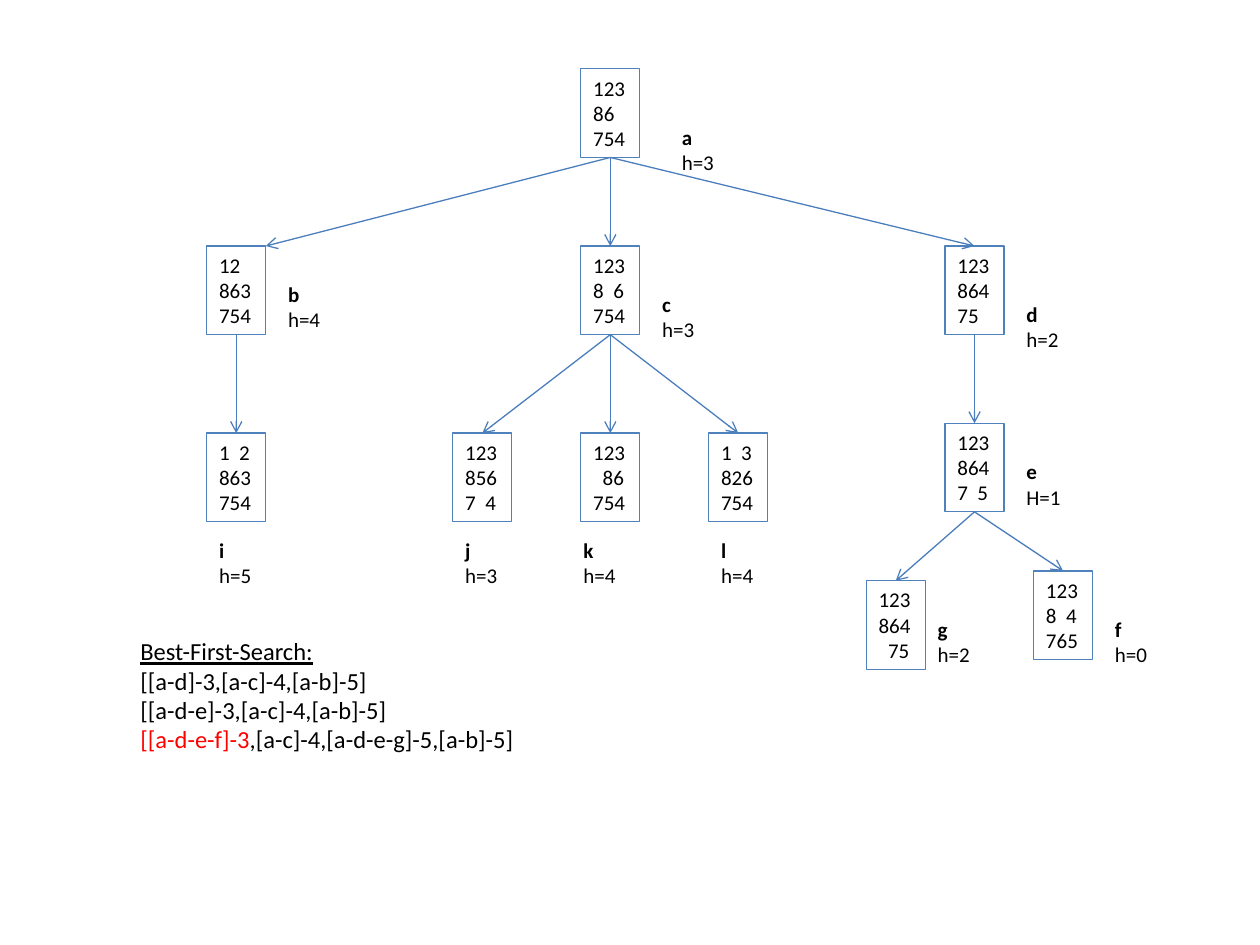
from pptx import Presentation
from pptx import util as u
from pptx.dml.color import RGBColor
from pptx.enum import shapes, text
from pptx.oxml.ns import qn
from lxml import etree

deck = Presentation()
deck.slide_width, deck.slide_height = u.Inches(10), u.Inches(7.5)
slide = deck.slides.add_slide(deck.slide_layouts[6])
unit = deck.slide_width // 128  # the grid has 128 columns and 96 rows
TOP, BOTTOM = 0, 2
BOARD_WIDTH, BOARD_HEIGHT = 6, 9


def rgb(code):
    return RGBColor.from_string(code)


def write(box, lines, size):
    """Fill a box with left-aligned black lines and return its paragraphs."""
    frame = box.text_frame
    frame.word_wrap = True
    frame.auto_size = text.MSO_AUTO_SIZE.SHAPE_TO_FIT_TEXT
    frame.vertical_anchor = text.MSO_ANCHOR.TOP
    frame.text = "\n".join(lines)
    for paragraph in frame.paragraphs:
        paragraph.alignment = text.PP_ALIGN.LEFT
        for run in paragraph.runs:
            run.font.name, run.font.size = "Calibri", u.Pt(size)
            run.font.color.rgb = rgb("000000")
    return frame.paragraphs


# state: (board column, board row, tiles, label column, label row, heuristic)
states = {
    "a": (59, 7, ("123", "86", "754"), 68, 12, "h=3"),
    "b": (21, 25, ("12", "863", "754"), 28, 28, "h=4"),
    "c": (59, 25, ("123", "8  6", "754"), 66, 29, "h=3"),
    "d": (96, 25, ("123", "864", "75"), 103, 30, "h=2"),
    "i": (21, 44, ("1  2", "863", "754"), 21, 54, "h=5"),
    "j": (46, 44, ("123", "856", "7  4"), 46, 54, "h=3"),
    "k": (59, 44, ("123", "  86", "754"), 58, 54, "h=4"),
    "l": (72, 44, ("1  3", "826", "754"), 72, 54, "h=4"),
    "e": (96, 43, ("123", "864", "7  5"), 103, 46, "H=1"),
    "g": (88, 59, ("123", "864", "  75"), 94, 62, "h=2"),
    "f": (105, 58, ("123", "8  4", "765"), 112, 62, "h=0"),
}
moves = ["ab", "ac", "ad", "bi", "cj", "ck", "cl", "de", "eg", "ef"]

boards = {}
for state, (column, row, tiles, *_) in states.items():
    board = slide.shapes.add_shape(
        shapes.MSO_SHAPE.RECTANGLE, column * unit, row * unit,
        BOARD_WIDTH * unit, BOARD_HEIGHT * unit)
    board.shadow.inherit = False
    board.fill.background()
    board.line.color.rgb = rgb("4F81BD")
    board.line.width = u.Pt(0.75)
    write(board, tiles, 12)
    boards[state] = board

for parent, child in moves:
    target = boards[child]
    # The arrow to b ends at its top right corner, so that end stays free.
    arrow = slide.shapes.add_connector(
        shapes.MSO_CONNECTOR.STRAIGHT, 0, 0, target.left + target.width, target.top)
    arrow.begin_connect(boards[parent], BOTTOM)
    if child != "b":
        arrow.end_connect(target, TOP)
    arrow.line.color.rgb = rgb("4B7EBC")
    arrow.line.width = u.Pt(0.75)
    etree.SubElement(arrow.line._get_or_add_ln(), qn("a:tailEnd"), type="arrow")
    etree.SubElement(arrow._element.spPr, qn("a:effectLst"))

for state, (*_, column, row, heuristic) in states.items():
    width = 9.4 if state == "e" else BOARD_WIDTH
    label = slide.shapes.add_textbox(
        column * unit, row * unit, int(width * unit), int(6.4 * unit))
    name, _ = write(label, (state, heuristic), 12)
    name.runs[0].font.bold = True

search = slide.shapes.add_textbox(13 * unit, 64 * unit, 59 * unit, int(13.3 * unit))
heading, *_, last_queue = write(search, (
    "Best-First-Search:",
    "[[a-d]-3,[a-c]-4,[a-b]-5]",
    "[[a-d-e]-3,[a-c]-4,[a-b]-5]",
    "[[a-d-e-f]-3",
), 14)
heading.runs[0].font.underline = True
last_queue.runs[0].font.color.rgb = rgb("FF0000")
others = last_queue.add_run()
others.text = ",[a-c]-4,[a-d-e-g]-5,[a-b]-5]"
others.font.name, others.font.size = "Calibri", u.Pt(14)
others.font.color.rgb = rgb("000000")

deck.save("out.pptx")
